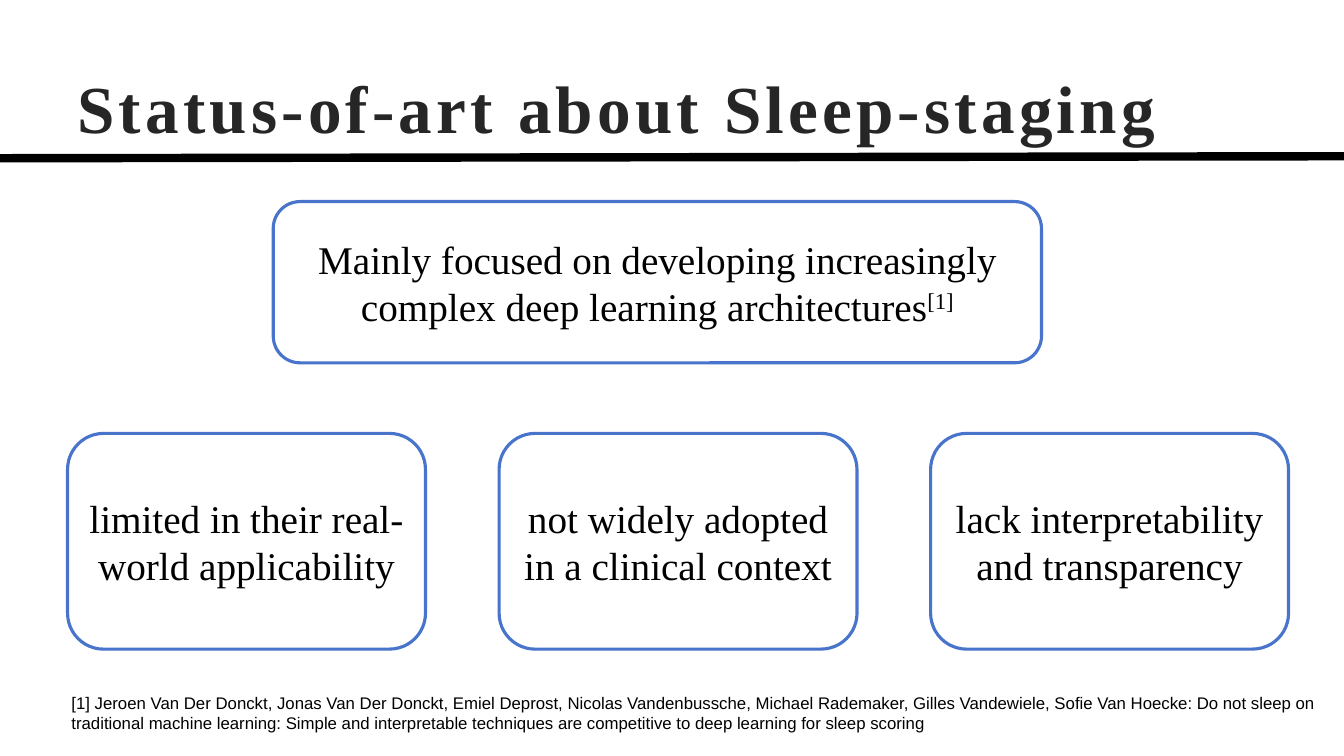
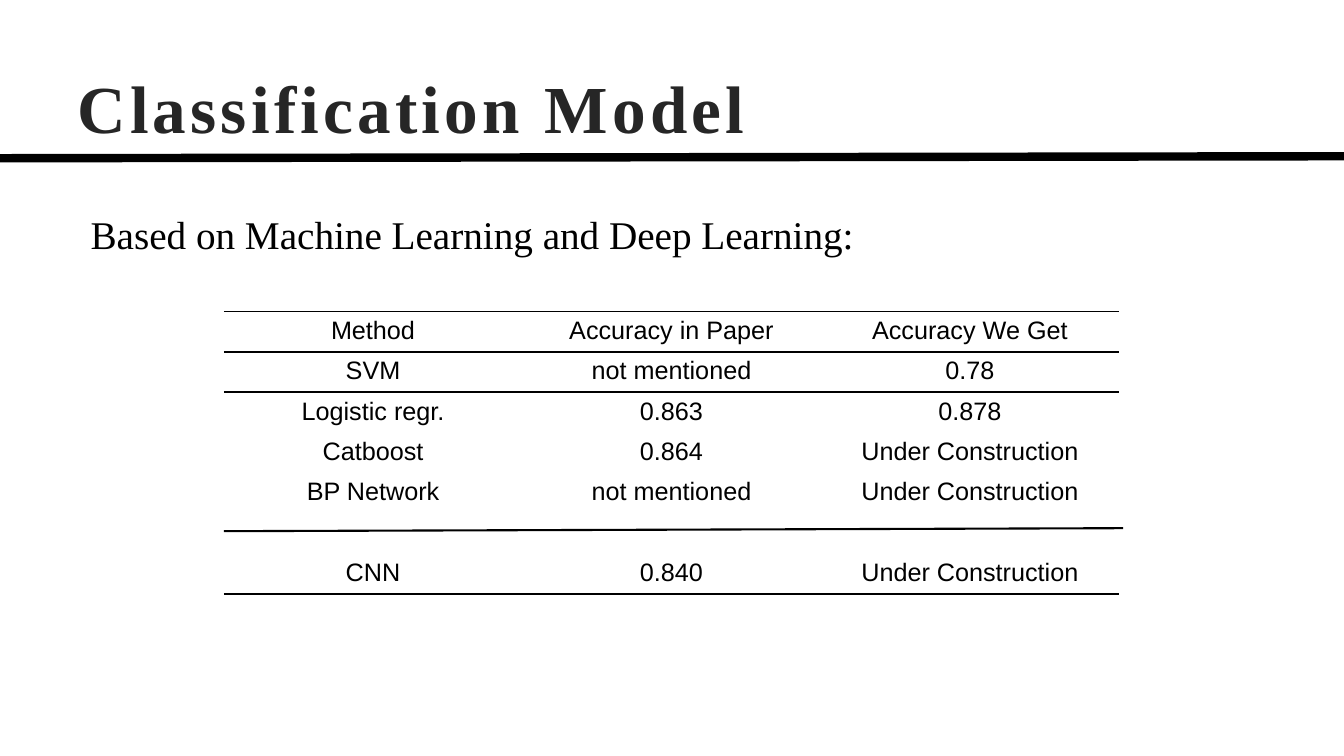
from lxml.etree import SubElement
from pptx import Presentation
from pptx.dml.color import RGBColor
from pptx.enum.shapes import MSO_CONNECTOR, MSO_SHAPE
from pptx.enum.text import MSO_ANCHOR, PP_ALIGN
from pptx.oxml.ns import qn
from pptx.util import Inches, Pt

COLORS = {"text": "000000", "title": "262626", "rule": "000000", "card": "4874CB"}
SERIF, SANS = "Times New Roman", "Arial"
STYLES = {
    "title": {"name": SERIF, "size": Pt(48), "bold": True},
    "body": {"name": SERIF, "size": Pt(28)},
    "table": {"name": SANS, "size": Pt(18)},
    "reference": {"name": SANS, "size": Pt(12)},
}
WIDTH, HEIGHT = 13.33, 7.5
MARGIN = 0.67
NO_GRID_STYLE = "{2D5ABB26-0587-4C30-8999-92F81FD0307C}"

STATUS_TITLE = "Status-of-art about Sleep-staging"
MAIN_FOCUS = "Mainly focused on developing increasingly complex deep learning architectures"
REFERENCE_MARK = "[1]"
LIMITATIONS = [
    "limited in their real-world applicability",
    "not widely adopted in a clinical context",
    "lack interpretability and transparency",
]
REFERENCE = (
    "[1] Jeroen Van Der Donckt, Jonas Van Der Donckt, Emiel Deprost, "
    "Nicolas Vandenbussche, Michael Rademaker, Gilles Vandewiele, Sofie Van Hoecke: "
    "Do not sleep on traditional machine learning: Simple and interpretable techniques "
    "are competitive to deep learning for sleep scoring"
)

MODEL_TITLE = "Classification Model"
MODEL_INTRO = "Based on Machine Learning and Deep Learning:"
RESULTS = [
    ("Method", "Accuracy in Paper", "Accuracy We Get"),
    ("SVM", "not mentioned", "0.78"),
    ("Logistic regr.", "0.863", "0.878"),
    ("Catboost", "0.864", "Under Construction"),
    ("BP Network", "not mentioned", "Under Construction"),
    ("", "", ""),
    ("CNN", "0.840", "Under Construction"),
]


def rgb(name):
    return RGBColor.from_string(COLORS[name])


def add_run(paragraph, text, style, color="text"):
    run = paragraph.add_run()
    run.text = text
    for attribute, value in STYLES[style].items():
        setattr(run.font, attribute, value)
    run.font.color.rgb = rgb(color)
    return run


def add_text(slide, box, text, style, color="text", anchor=MSO_ANCHOR.TOP):
    frame = slide.shapes.add_textbox(*map(Inches, box)).text_frame
    frame.word_wrap = True
    frame.vertical_anchor = anchor
    return add_run(frame.paragraphs[0], text, style, color)


def add_rule(slide, start, end, weight):
    points = map(Inches, (*start, *end))
    rule = slide.shapes.add_connector(MSO_CONNECTOR.STRAIGHT, *points)
    rule.line.color.rgb = rgb("rule")
    rule.line.width = Pt(weight)
    SubElement(rule._element.spPr, qn("a:effectLst"))


def add_titled_slide(presentation, title):
    slide = presentation.slides.add_slide(presentation.slide_layouts[6])
    add_rule(slide, (0, 1.57), (WIDTH, 1.55), 6)
    run = add_text(slide, (MARGIN, 0.67, 12, 0.77), title, "title", "title",
                   MSO_ANCHOR.MIDDLE)
    run.font._element.set("spc", "300")
    return slide


def add_card(slide, box, text):
    card = slide.shapes.add_shape(MSO_SHAPE.ROUNDED_RECTANGLE, *map(Inches, box))
    card.shadow.inherit = False
    card.fill.background()
    card.line.color.rgb = rgb("card")
    card.line.width = Pt(2.25)
    card.text_frame.word_wrap = True
    card.text_frame.vertical_anchor = MSO_ANCHOR.MIDDLE
    paragraph = card.text_frame.paragraphs[0]
    paragraph.alignment = PP_ALIGN.CENTER
    add_run(paragraph, text, "body")
    return paragraph


def add_border(cell, side):
    properties = cell._tc.get_or_add_tcPr()
    border = SubElement(properties, qn(f"a:ln{side}"), w=str(Pt(1.5)))
    fill = SubElement(border, qn("a:solidFill"))
    SubElement(fill, qn("a:srgbClr"), val=COLORS["rule"])


def add_results_table(slide, left, top, column_width, row_height):
    row_count, column_count = len(RESULTS), len(RESULTS[0])
    box = (left, top, column_count * column_width, row_count * row_height)
    table = slide.shapes.add_table(row_count, column_count, *map(Inches, box)).table
    table.first_row = table.horz_banding = False
    table._tbl.tblPr.find(qn("a:tableStyleId")).text = NO_GRID_STYLE
    borders = {0: "TB", 1: "T", row_count - 1: "B"}
    for row, texts in enumerate(RESULTS):
        for column, text in enumerate(texts):
            cell = table.cell(row, column)
            for side in borders.get(row, ""):
                add_border(cell, side)
            cell.fill.background()
            paragraph = cell.text_frame.paragraphs[0]
            paragraph.alignment = PP_ALIGN.CENTER
            if text:
                add_run(paragraph, text, "table")


def build_status_slide(presentation):
    slide = add_titled_slide(presentation, STATUS_TITLE)
    focus = add_card(slide, (2.71, 2, 7.62, 1.6), MAIN_FOCUS)
    mark = add_run(focus, REFERENCE_MARK, "body")
    mark.font._element.set("baseline", "30000")

    card_width, gap = 3.55, 0.73
    for index, text in enumerate(LIMITATIONS):
        left = MARGIN + index * (card_width + gap)
        add_card(slide, (left, 4.3, card_width, 2.14), text)
    add_text(slide, (0.61, 6.82, 12.68, 0.5), REFERENCE, "reference")


def build_model_slide(presentation):
    slide = add_titled_slide(presentation, MODEL_TITLE)
    add_text(slide, (0.8, 2.04, 7.79, 0.57), MODEL_INTRO, "body")
    left = 2.22
    add_results_table(slide, left, 3.09, 2.96, 0.4)
    add_rule(slide, (left, 5.27), (11.14, 5.24), 1.5)


def main():
    presentation = Presentation()
    presentation.slide_width = Inches(WIDTH)
    presentation.slide_height = Inches(HEIGHT)
    build_status_slide(presentation)
    build_model_slide(presentation)
    presentation.save("out.pptx")


if __name__ == "__main__":
    main()
